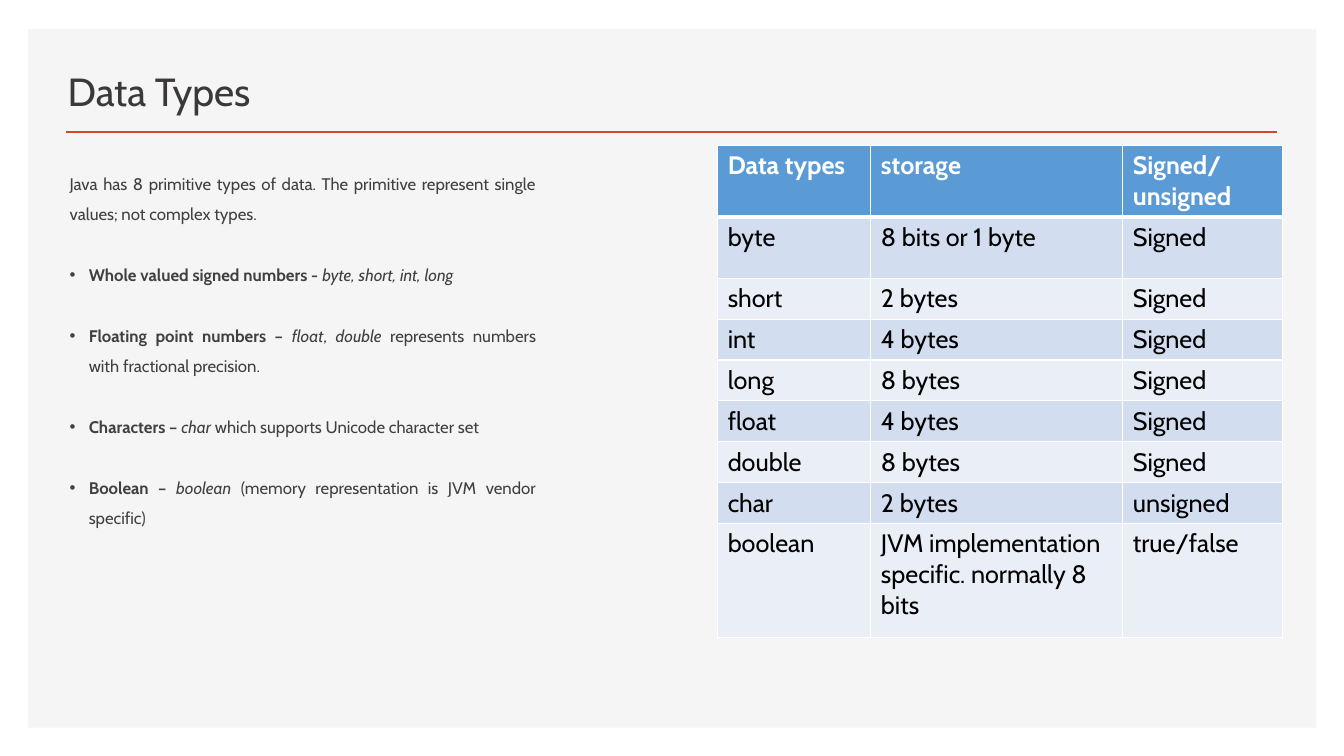
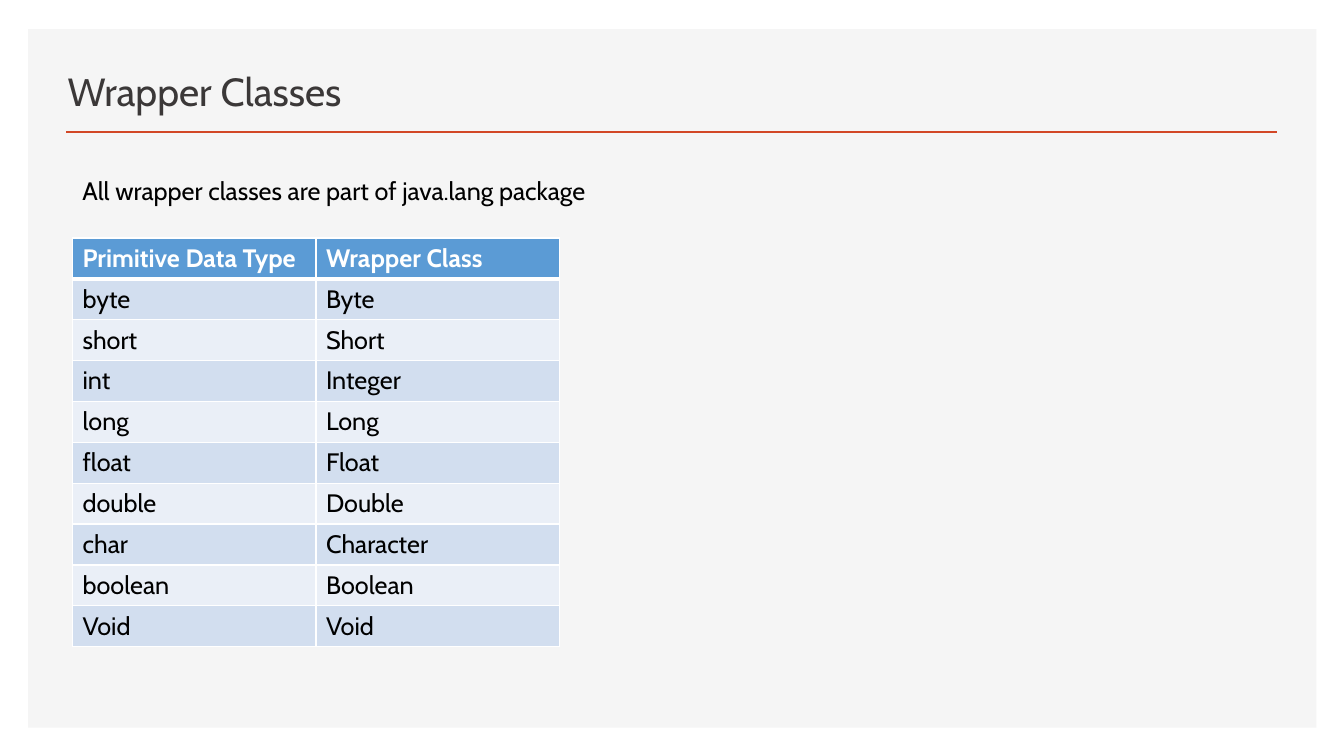
"""Build two slides on Java data types and their wrapper classes."""
from dataclasses import dataclass
from typing import Any, NamedTuple

from lxml import etree
from pptx import Presentation
from pptx import util as u
from pptx.dml.color import RGBColor
from pptx.enum import shapes, text
from pptx.oxml.ns import qn


@dataclass(frozen=True)
class Theme:
    """Colours, font and point sizes of the deck."""

    font: str = "Cabin"
    band: str = "F5F5F5"
    rule: str = "D24726"
    title: str = "3B3838"
    body: str = "404040"
    cell: str = "000000"
    white: str = "FFFFFF"
    header: str = "5B9BD5"
    stripes: tuple[str, str] = ("D2DEEF", "EAEFF7")
    title_size: float = 28
    body_size: float = 12
    cell_size: float = 18
    rule_width: float = 2
    border: float = 1
    header_border: float = 3


class Area(NamedTuple):
    """A rectangle in percent of the slide's width and height."""

    left: float
    top: float
    width: float
    height: float


class Span(NamedTuple):
    """Words in one style."""

    words: str
    bold: bool = False
    italic: bool = False


class Item(NamedTuple):
    """A body paragraph, bulleted or plain."""

    spans: tuple[Span, ...]
    bullet: bool = True


@dataclass(frozen=True)
class Grid:
    """A table with its corner, column widths and row heights in percent."""

    left: float
    top: float
    columns: tuple[float, ...]
    rows: tuple[float, ...]
    cells: tuple[tuple[str, ...], ...]


THEME = Theme()
WIDTH, HEIGHT = u.Inches(13.33), u.Inches(7.5)
BAND = Area(2.1, 3.87, 95.85, 92.4)
RULE = Area(4.95, 17.47, 90.08, 0)
TITLE = Area(4.28, 6.53, 56.4, 9.33)
BODY = Area(4.43, 20.93, 36.22, 73.2)
NOTE = Area(5.4, 22.53, 41.62, 5.33)
INDENT = u.Inches(0.19)

ITEMS = (
    Item((Span("Java has 8 primitive types of data. The primitive represent single "
               "values; not complex types."),), bullet=False),
    Item((Span("Whole valued signed numbers - ", bold=True),
          Span("byte, short, int, long", italic=True))),
    Item((Span("Floating point numbers – ", bold=True), Span("float", italic=True),
          Span(", "), Span("double", italic=True),
          Span(" represents numbers with fractional precision."))),
    Item((Span("Characters – ", bold=True), Span("char", italic=True),
          Span(" which supports Unicode character set"))),
    Item((Span("Boolean – ", bold=True), Span("boolean", italic=True),
          Span(" (memory representation is JVM vendor specific)"))),
)

STORAGE = Grid(
    53.4, 19.2, (11.4, 18.75, 11.85), (8.13,) * 2 + (4.67,) * 6 + (15.07,),
    (
        ("Data types", "storage", "Signed/unsigned"),
        ("byte", "8 bits or 1 byte", "Signed"),
        ("short", "2 bytes", "Signed"),
        ("int", "4 bytes", "Signed"),
        ("long", "8 bytes", "Signed"),
        ("float", "4 bytes", "Signed"),
        ("double", "8 bytes", "Signed"),
        ("char", "2 bytes", "unsigned"),
        ("boolean", "JVM implementation specific. normally 8 bits", "true/false"),
    ),
)

WRAPPERS = Grid(
    5.4, 31.47, (18.11,) * 2, (5.4,) * 10,
    (
        ("Primitive Data Type", "Wrapper Class"),
        ("byte", "Byte"),
        ("short", "Short"),
        ("int", "Integer"),
        ("long", "Long"),
        ("float", "Float"),
        ("double", "Double"),
        ("char", "Character"),
        ("boolean", "Boolean"),
        ("Void", "Void"),
    ),
)


def across(share: float) -> int:
    """Turn a percentage of the slide's width into a length."""
    return round(WIDTH * share / 100)


def down(share: float) -> int:
    """Turn a percentage of the slide's height into a length."""
    return round(HEIGHT * share / 100)


def box_of(area: Area) -> tuple[int, int, int, int]:
    """Return left, top, width and height as lengths."""
    return across(area.left), down(area.top), across(area.width), down(area.height)


def apply(target: Any, values: dict[str, Any]) -> None:
    """Set each named attribute on the target."""
    for name, value in values.items():
        setattr(target, name, value)


def place(shape: Any, area: Area) -> None:
    """Move a shape to an area."""
    apply(shape, dict(zip(("left", "top", "width", "height"), box_of(area))))


def write(para: Any, span: Span, size: float, colour: str) -> None:
    """Append a formatted run to a paragraph."""
    run = para.add_run()
    run.text = span.words
    apply(run.font, {"name": THEME.font, "size": u.Pt(size),
                     "bold": span.bold, "italic": span.italic})
    run.font.color.rgb = RGBColor.from_string(colour)


def add_backdrop(deck: Any, page: Any) -> None:
    """Put the grey band and the title rule on the slide master."""
    band = page.shapes.add_shape(shapes.MSO_SHAPE.RECTANGLE, *box_of(BAND))
    band.shadow.inherit = False
    band.fill.solid()
    band.fill.fore_color.rgb = RGBColor.from_string(THEME.band)
    band.line.fill.background()
    left, top, width, height = box_of(RULE)
    rule = page.shapes.add_connector(
        shapes.MSO_CONNECTOR.STRAIGHT, left, top, left + width, top + height)
    rule.line.color.rgb = RGBColor.from_string(THEME.rule)
    rule.line.width = u.Pt(THEME.rule_width)
    etree.SubElement(rule.element.spPr, qn("a:effectLst"))
    front = deck.slide_master.placeholders[0].element
    for number, shape in enumerate((band, rule), start=101):
        shape.element.xpath(".//p:cNvPr")[0].set("id", str(number))
        front.addprevious(shape.element)


def add_title(page: Any, words: str) -> None:
    """Fill and place the title placeholder."""
    title = page.shapes.title
    place(title, TITLE)
    apply(title.text_frame, {"vertical_anchor": text.MSO_ANCHOR.BOTTOM,
                             "auto_size": text.MSO_AUTO_SIZE.NONE, "word_wrap": True})
    para = title.text_frame.paragraphs[0]
    para.alignment = text.PP_ALIGN.LEFT
    write(para, Span(words), THEME.title_size, THEME.title)


def add_body(page: Any, items: tuple[Item, ...]) -> None:
    """Fill and place the body placeholder."""
    body = page.placeholders[1]
    place(body, BODY)
    frame = body.text_frame
    apply(frame, {"auto_size": text.MSO_AUTO_SIZE.NONE, "word_wrap": True})
    for index, item in enumerate(items):
        para = frame.add_paragraph() if index else frame.paragraphs[0]
        apply(para, {"alignment": text.PP_ALIGN.JUSTIFY, "line_spacing": 1.5,
                     "space_before": u.Pt(10), "space_after": u.Pt(12)})
        margin = INDENT if item.bullet else 0
        settings = para._p.get_or_add_pPr()
        settings.set("marL", str(margin))
        settings.set("indent", str(-margin))
        if item.bullet:
            etree.SubElement(settings, qn("a:buChar"), char="•")
        else:
            etree.SubElement(settings, qn("a:buNone"))
        for span in item.spans:
            write(para, span, THEME.body_size, THEME.body)


def add_borders(cell: Any, top: float, bottom: float) -> None:
    """Draw the white borders of a cell."""
    widths = {"a:lnL": THEME.border, "a:lnR": THEME.border, "a:lnT": top, "a:lnB": bottom}
    settings = cell._tc.get_or_add_tcPr()
    for tag, width in widths.items():
        line = etree.SubElement(settings, qn(tag), w=str(u.Pt(width)))
        fill = etree.SubElement(line, qn("a:solidFill"))
        etree.SubElement(fill, qn("a:srgbClr"), val=THEME.white)


def add_grid(page: Any, grid: Grid) -> None:
    """Draw a table with a header and striped rows."""
    area = Area(grid.left, grid.top, sum(grid.columns), sum(grid.rows))
    table = page.shapes.add_table(
        len(grid.rows), len(grid.columns), *box_of(area)).table
    table.horz_banding = False
    for column, share in zip(table.columns, grid.columns):
        column.width = across(share)
    for row, share in zip(table.rows, grid.rows):
        row.height = down(share)
    for row_index, words_of_row in enumerate(grid.cells):
        header = row_index == 0
        fill = THEME.header if header else THEME.stripes[(row_index - 1) % 2]
        colour = THEME.white if header else THEME.cell
        top = THEME.header_border if row_index == 1 else THEME.border
        bottom = THEME.header_border if header else THEME.border
        for column_index, words in enumerate(words_of_row):
            cell = table.cell(row_index, column_index)
            add_borders(cell, top, bottom)
            cell.fill.solid()
            cell.fill.fore_color.rgb = RGBColor.from_string(fill)
            write(cell.text_frame.paragraphs[0], Span(words, bold=header),
                  THEME.cell_size, colour)


def add_note(page: Any, words: str) -> None:
    """Add the line of text above the wrapper table."""
    frame = page.shapes.add_textbox(*box_of(NOTE)).text_frame
    apply(frame, {"word_wrap": False, "auto_size": text.MSO_AUTO_SIZE.SHAPE_TO_FIT_TEXT})
    write(frame.paragraphs[0], Span(words), THEME.cell_size, THEME.cell)


def main() -> None:
    """Build and save the deck."""
    deck = Presentation()
    apply(deck, {"slide_width": WIDTH, "slide_height": HEIGHT})

    types_page = deck.slides.add_slide(deck.slide_layouts.get_by_name("Title and Content"))
    add_backdrop(deck, types_page)
    add_title(types_page, "Data Types")
    add_body(types_page, ITEMS)
    add_grid(types_page, STORAGE)

    wrappers_page = deck.slides.add_slide(deck.slide_layouts.get_by_name("Title Only"))
    add_title(wrappers_page, "Wrapper Classes")
    add_grid(wrappers_page, WRAPPERS)
    add_note(wrappers_page, "All wrapper classes are part of java.lang package")

    deck.save("out.pptx")


if __name__ == "__main__":
    main()
